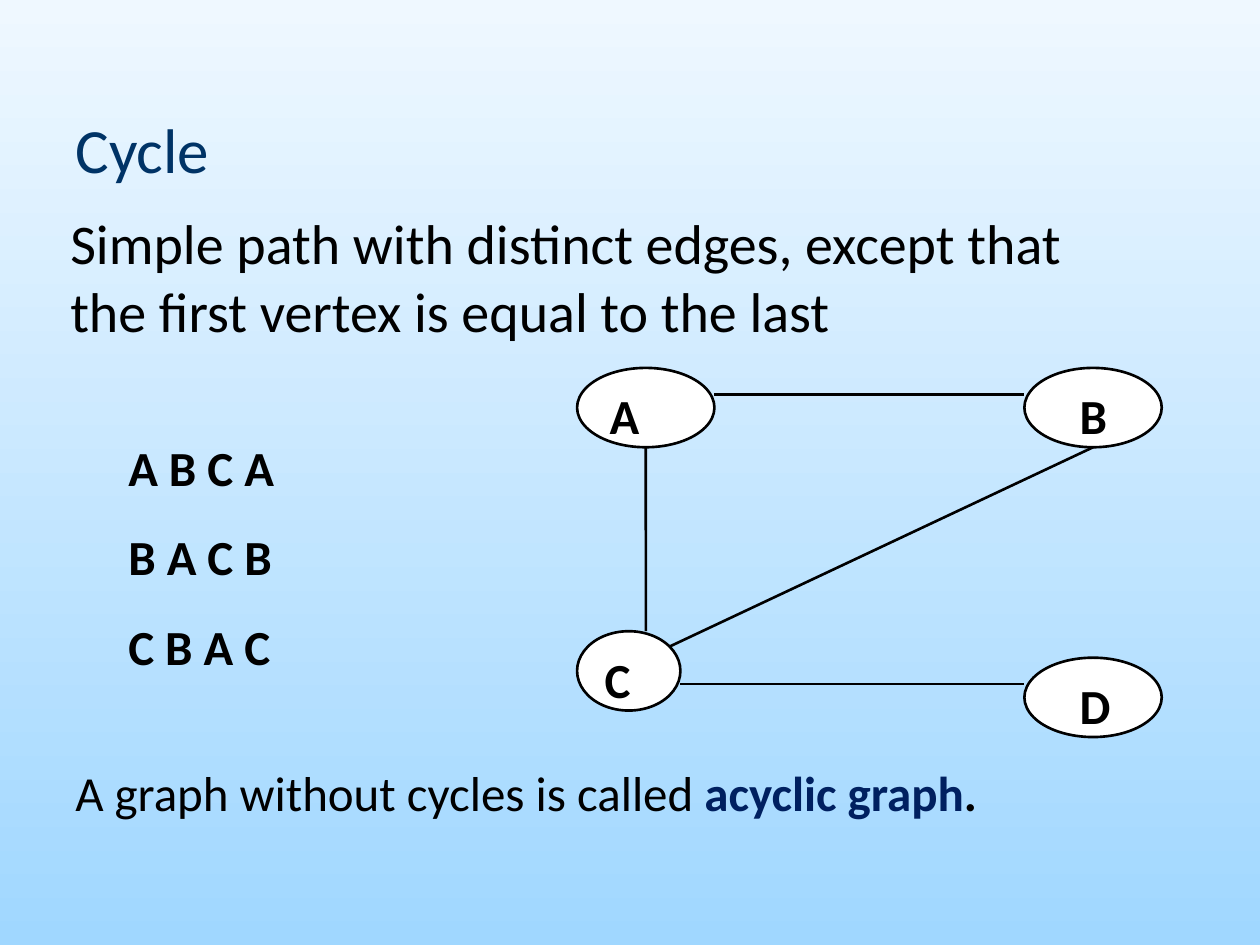
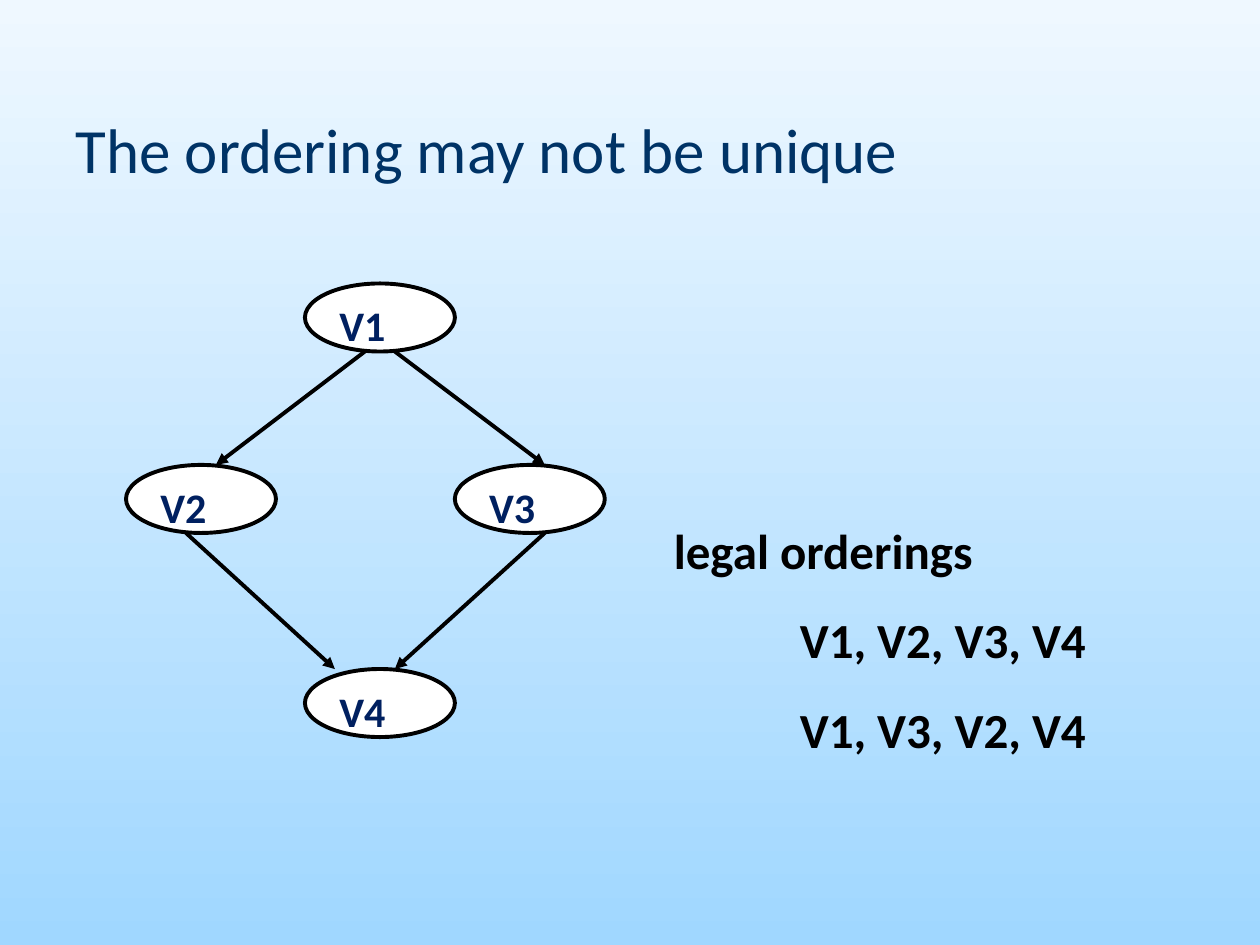
import lxml.etree
import pptx
import pptx.dml.color
import pptx.enum.shapes
import pptx.enum.text
import pptx.oxml.ns
import pptx.util

COLORS = {
    "sky_top": "EFF8FF",
    "sky_bottom": "A0D7FF",
    "title": "003366",
    "accent": "002060",
    "ink": "000000",
    "node": "FFFFFF",
}
FONT = "Calibri"
TITLE_LAYOUT = 5
COLUMNS, ROWS = 10, 7.5
SLIDE_WIDTH = pptx.util.Inches(10)
SLIDE_HEIGHT = pptx.util.Inches(7.5)

CYCLE_NODES = {
    "A": (4.58, 2.92, 1.09, 0.63),
    "B": (8.13, 2.92, 1.09, 0.63),
    "C": (4.58, 5.01, 0.82, 0.63),
    "D": (8.13, 5.22, 1.09, 0.63),
}
# Each end of an edge: node, share of its width, share of its height.
CYCLE_EDGES = [
    (("B", 1 / 2, 1), ("C", 2 / 3, 1 / 3)),
    (("A", 1, 1 / 3), ("B", 0, 1 / 3)),
    (("A", 1 / 2, 1), ("C", 2 / 3, 0)),
    (("C", 1, 2 / 3), ("D", 0, 1 / 3)),
]
ORDER_CORNERS = {"V1": (2.42, 2.25), "V2": (1, 3.69), "V3": (3.61, 3.69), "V4": (2.42, 5.31)}
ORDER_NODES = {name: (*corner, 1.19, 0.54) for name, corner in ORDER_CORNERS.items()}
ORDER_EDGES = [
    (("V1", 0.4, 1), ("V2", 0.6, 0)),
    (("V1", 0.6, 1), ("V3", 0.6, 0)),
    (("V2", 0.4, 1), ("V4", 0.2, 0)),
    (("V3", 0.6, 1), ("V4", 0.6, 0)),
]


def rgb(name):
    return pptx.dml.color.RGBColor.from_string(COLORS[name])


def across(columns):
    return round(SLIDE_WIDTH * columns / COLUMNS)


def down(rows):
    return round(SLIDE_HEIGHT * rows / ROWS)


def area(left, top, width, height):
    return across(left), down(top), across(width), down(height)


def style_run(run, size, color="ink", bold=False):
    run.font.name = FONT
    run.font.size = pptx.util.Pt(size)
    run.font.bold = bold
    run.font.color.rgb = rgb(color)


def style_line(line, width):
    line.color.rgb = rgb("ink")
    line.width = pptx.util.Pt(width)


def paint_background(master):
    sky = master.background.fill
    sky.gradient()
    sky.gradient_angle = 270
    for stop, name in zip(sky.gradient_stops, ("sky_top", "sky_bottom")):
        stop.color.rgb = rgb(name)


def add_titled_slide(deck, heading):
    slide = deck.slides.add_slide(deck.slide_layouts[TITLE_LAYOUT])
    title = slide.shapes.title
    title.left, title.top, title.width, title.height = area(0.5, 0.8, 9, 0.75)
    title.text_frame.text = heading
    title.text_frame.vertical_anchor = pptx.enum.text.MSO_ANCHOR.MIDDLE
    paragraph = title.text_frame.paragraphs[0]
    paragraph.alignment = pptx.enum.text.PP_ALIGN.LEFT
    style_run(paragraph.runs[0], 36, "title")
    return slide


def add_text(slide, place, lines, size=28, bold=False, indents=None):
    """Add one paragraph per line; indents gives left indents in columns."""
    frame = slide.shapes.add_textbox(*area(*place)).text_frame
    frame.word_wrap = True
    frame.auto_size = pptx.enum.text.MSO_AUTO_SIZE.SHAPE_TO_FIT_TEXT
    frame.text = "\n".join(lines)
    for index, paragraph in enumerate(frame.paragraphs):
        if index:
            paragraph.space_before = pptx.util.Pt(17.5)
        if indents:
            paragraph._p.get_or_add_pPr().set("marL", str(across(indents[index])))
        for run in paragraph.runs:
            style_run(run, size, bold=bold)
    return frame


def add_node(slide, name, place, line_width, size, color, indent):
    node = slide.shapes.add_shape(pptx.enum.shapes.MSO_SHAPE.OVAL, *area(*place))
    node.shadow.inherit = False
    node.fill.solid()
    node.fill.fore_color.rgb = rgb("node")
    style_line(node.line, line_width)
    frame = node.text_frame
    frame.margin_left = across(0.1 + indent)
    frame.vertical_anchor = pptx.enum.text.MSO_ANCHOR.TOP
    frame.text = name
    paragraph = frame.paragraphs[0]
    paragraph.alignment = pptx.enum.text.PP_ALIGN.LEFT
    style_run(paragraph.runs[0], size, color, bold=True)


def add_edge(slide, start, end, line_width, directed):
    edge = slide.shapes.add_connector(
        pptx.enum.shapes.MSO_CONNECTOR.STRAIGHT, *start, *end)
    style_line(edge.line, line_width)
    if directed:
        lxml.etree.SubElement(
            edge.line._get_or_add_ln(), pptx.oxml.ns.qn("a:tailEnd"), type="triangle")
    lxml.etree.SubElement(edge._element.spPr, pptx.oxml.ns.qn("a:effectLst"))


def add_graph(slide, nodes, edges, line_width, size, color="ink", directed=False, indents=None):
    def point(name, share_x, share_y):
        left, top, width, height = nodes[name]
        return across(left + width * share_x), down(top + height * share_y)

    for start, end in edges:
        add_edge(slide, point(*start), point(*end), line_width, directed)
    for name, place in nodes.items():
        add_node(slide, name, place, line_width, size, color, (indents or {}).get(name, 0))


def add_cycle_slide(deck):
    slide = add_titled_slide(deck, "Cycle")
    definition = ("Simple path with distinct edges, except that "
                  "the first vertex is equal to the last")
    add_text(slide, (0.46, 1.61, 8.17, 1.17), [definition], size=32)
    add_text(slide, (0.92, 3.42, 2, 1.99), ["A B C A", "B A C B", "C B A C"], bold=True)
    add_graph(slide, CYCLE_NODES, CYCLE_EDGES, 1.5, 28, indents={"B": 0.18, "D": 0.18})
    remark = add_text(slide, (0.5, 6, 8.83, 0.57),
                      ["A graph without cycles is called "]).paragraphs[0]
    for words, color in (("acyclic graph", "accent"), (".", "ink")):
        run = remark.add_run()
        run.text = words
        style_run(run, 28, color, bold=True)


def add_ordering_slide(deck):
    slide = add_titled_slide(deck, "The ordering may not be unique")
    add_graph(slide, ORDER_NODES, ORDER_EDGES, 2.25, 24, "accent", directed=True)
    add_text(slide, (5.25, 4.08, 4.33, 1.99),
             ["legal orderings", "V1, V2, V3, V4", "V1, V3, V2, V4"],
             bold=True, indents=(0, 1, 1))


def main():
    deck = pptx.Presentation()
    deck.slide_width, deck.slide_height = SLIDE_WIDTH, SLIDE_HEIGHT
    paint_background(deck.slide_master)
    add_cycle_slide(deck)
    add_ordering_slide(deck)
    deck.save("out.pptx")


if __name__ == "__main__":
    main()
